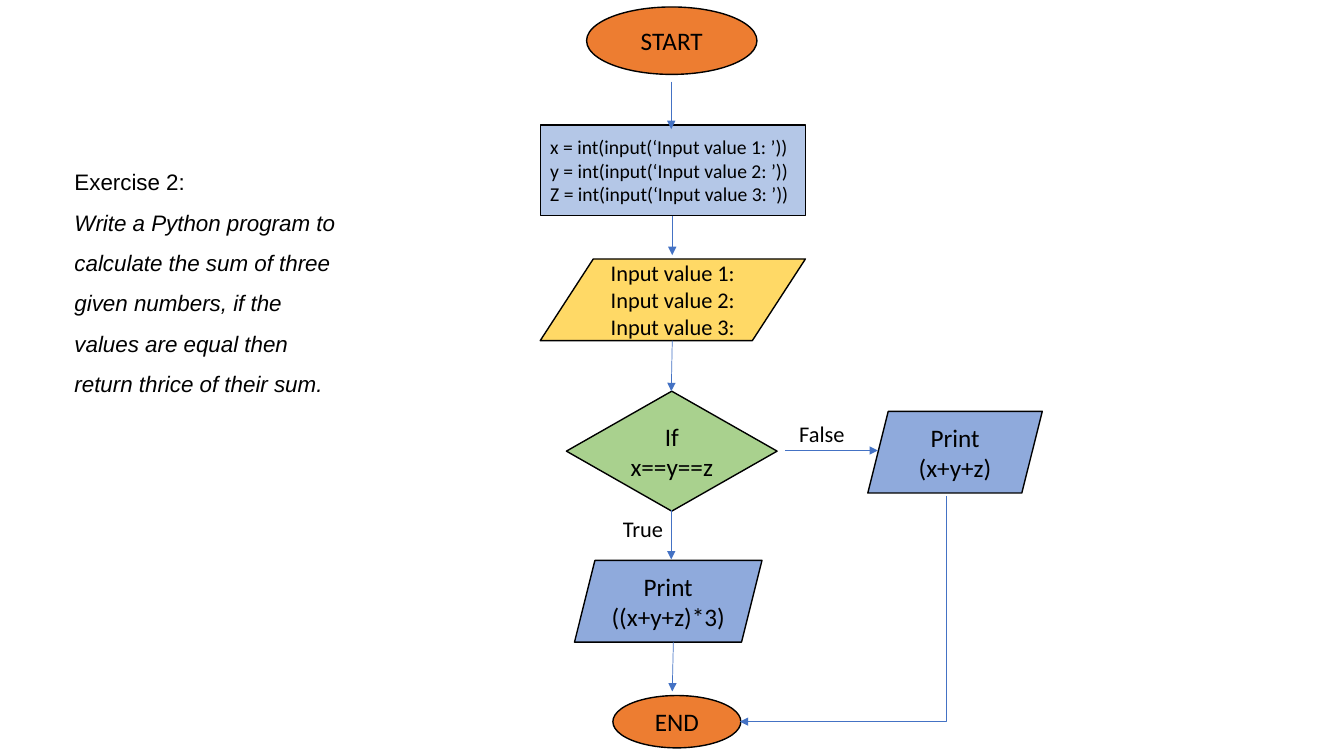
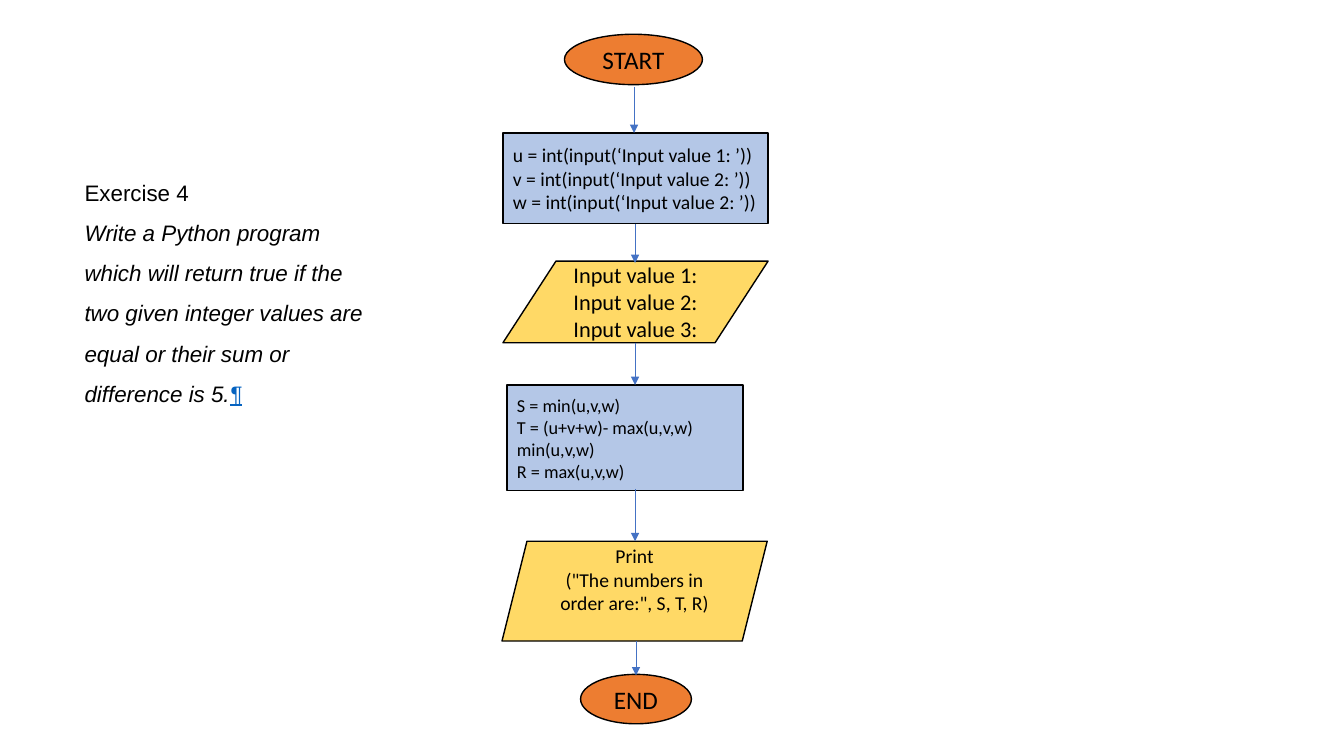
from lxml import etree
from pptx import Presentation, util as u
from pptx.dml import color
from pptx.enum import shapes, text
from pptx.oxml import ns

COLOURS = {"ink": "000000", "arrow": "4472C4", "orange": "ED7D31", "pale": "B4C7E7",
           "yellow": "FFD966", "green": "A9D18E", "blue": "8FAADC", "link": "0563C1"}
KIND = shapes.MSO_SHAPE
ALIGN = text.PP_ALIGN
STYLES = {
    "terminal": (KIND.OVAL, "orange", 18, ALIGN.CENTER),
    "assign": (KIND.RECTANGLE, "pale", 14, ALIGN.LEFT),
    "sort": (KIND.RECTANGLE, "pale", 13, ALIGN.LEFT),
    "input": (KIND.FLOWCHART_DATA, "yellow", 16, ALIGN.CENTER),
    "decision": (KIND.DIAMOND, "green", 18, ALIGN.CENTER),
    "print": (KIND.PARALLELOGRAM, "blue", 18, ALIGN.CENTER),
    "report": (KIND.PARALLELOGRAM, "yellow", 14, ALIGN.CENTER),
}
INSET_BOTTOM = {"report": 20.6}
PROMPTS = ["Input value 1:", "Input value 2:", "Input value 3:"]


def readings(*pairs):
    return [f"{name} = int(input(‘Input value {number}: ’))" for name, number in pairs]


SLIDES = [
    {
        "exercise": ((46.1, 107.3, 212.4, 177.8), "Exercise 2:",
                     "Write a Python program to calculate the sum of three given numbers, "
                     "if the values are equal then return thrice of their sum.", ""),
        "steps": [
            ("terminal", (419, 5, 121.7, 48.2), ["START"]),
            ("assign", (385.9, 89.3, 189.4, 64.8), readings(("x", 1), ("y", 2), ("Z", 3))),
            ("input", (385.9, 185, 189.4, 58.3), PROMPTS),
            ("decision", (404.6, 279.4, 150.5, 85.7), ["If x==y==z"]),
            ("print", (410.4, 400.3, 133.9, 58.3), ["Print ((x+y+z)*3)"]),
            ("print", (619.9, 293.8, 124.6, 58.3), ["Print (x+y+z)"]),
            ("terminal", (437.8, 496.8, 91.4, 37.4), ["END"]),
        ],
        "arrows": [
            (479.5, 58.3, 479.5, 92.2), (480.2, 154.1, 480.2, 182.2),
            (480.2, 243.4, 479.5, 279.4), (479.5, 364.3, 479.5, 399.6),
            (481, 458.6, 480.2, 493.9), (560.9, 321.8, 627.1, 321.8),
        ],
        "returns": [(676.1, 354.2, 528.5, 515.5)],
        "branches": [((563.8, 296.6, 54, 26.6), "False"), ((437.8, 364.3, 65.5, 26.6), "True")],
    },
    {
        "exercise": ((53.3, 114.5, 215.3, 203.8), "Exercise 4",
                     "Write a Python program which will return true if the two given integer "
                     "values are equal or their sum or difference is 5.", "¶"),
        "steps": [
            ("terminal", (403.2, 24.5, 98.6, 36), ["START"]),
            ("assign", (359.3, 95, 189.4, 64.8), readings(("u", 1), ("v", 2), ("w", 2))),
            ("input", (359.3, 186.5, 189.4, 58.3), PROMPTS),
            ("sort", (362.2, 275, 168.5, 75.6),
             ["S = min(u,v,w)", "T = (u+v+w)- max(u,v,w) min(u,v,w)", "R = max(u,v,w)"]),
            ("report", (358.6, 386.6, 189.4, 71.3),
             ["Print", '("The numbers in order are:", S, T, R)']),
            ("terminal", (414.7, 481.7, 79.2, 35.3), ["END"]),
        ],
        "arrows": [
            (452.9, 61.9, 452.9, 95), (453.6, 159.8, 453.6, 187.9),
            (453.6, 244.8, 453.6, 275), (453.6, 349.2, 453.6, 386.6),
            (454.3, 457.9, 454.3, 482.4),
        ],
        "returns": [],
        "branches": [],
    },
]


def points(values):
    return [u.Pt(value) for value in values]


def rgb(name):
    return color.RGBColor.from_string(COLOURS[name])


def write(frame, lines, size, font="Calibri", align=ALIGN.LEFT, spacing=None):
    frame.word_wrap = True
    for index, line in enumerate(lines):
        paragraph = frame.add_paragraph() if index else frame.paragraphs[0]
        paragraph.text = line
        paragraph.alignment = align
        paragraph.line_spacing = spacing
        paragraph.font.name = font
        paragraph.font.size = u.Pt(size)
        paragraph.font.color.rgb = rgb("ink")
    return frame.paragraphs


def add_step(slide, style, box, lines):
    kind, fill, size, align = STYLES[style]
    shape = slide.shapes.add_shape(kind, *points(box))
    shape.shadow.inherit = False
    shape.fill.solid()
    shape.fill.fore_color.rgb = rgb(fill)
    shape.line.color.rgb = rgb("ink")
    shape.line.width = u.Pt(1)
    frame = shape.text_frame
    frame.vertical_anchor = text.MSO_ANCHOR.MIDDLE
    frame.margin_bottom = u.Pt(INSET_BOTTOM.get(style, 3.6))
    write(frame, lines, size, align=align)


def add_arrow(slide, ends, kind=shapes.MSO_CONNECTOR.STRAIGHT):
    connector = slide.shapes.add_connector(kind, *points(ends))
    connector.line.color.rgb = rgb("arrow")
    connector.line.width = u.Pt(0.5)
    etree.SubElement(connector.line._get_or_add_ln(), ns.qn("a:tailEnd"), type="triangle")
    etree.SubElement(connector._element.spPr, ns.qn("a:effectLst"))
    return connector


def add_return(slide, ends):
    left, top, right, bottom = ends
    middle_x, middle_y = (left + right) / 2, (top + bottom) / 2
    half_width, half_height = abs(bottom - top) / 2, abs(right - left) / 2
    connector = add_arrow(slide, (middle_x - half_width, middle_y - half_height,
                                  middle_x + half_width, middle_y + half_height),
                          shapes.MSO_CONNECTOR.ELBOW)
    properties = connector._element.spPr
    properties.find(ns.qn("a:xfrm")).set("rot", "5400000")
    properties.find(ns.qn("a:prstGeom")).set("prst", "bentConnector2")


def add_exercise(slide, box, heading, task, mark):
    frame = slide.shapes.add_textbox(*points(box)).text_frame
    paragraphs = write(frame, [heading, task], 16, "Arial", spacing=1.5)
    paragraphs[1].font.italic = True
    if mark:
        run = paragraphs[1].add_run()
        run.text = mark
        run.font.underline = True
        run.font.color.rgb = rgb("link")


presentation = Presentation()
presentation.slide_width, presentation.slide_height = points((960, 540))
for content in SLIDES:
    slide = presentation.slides.add_slide(presentation.slide_layouts[6])
    for step in content["steps"]:
        add_step(slide, *step)
    for ends in content["arrows"]:
        add_arrow(slide, ends)
    for ends in content["returns"]:
        add_return(slide, ends)
    for box, label in content["branches"]:
        write(slide.shapes.add_textbox(*points(box)).text_frame, [label], 16)
    add_exercise(slide, *content["exercise"])
presentation.save("out.pptx")
